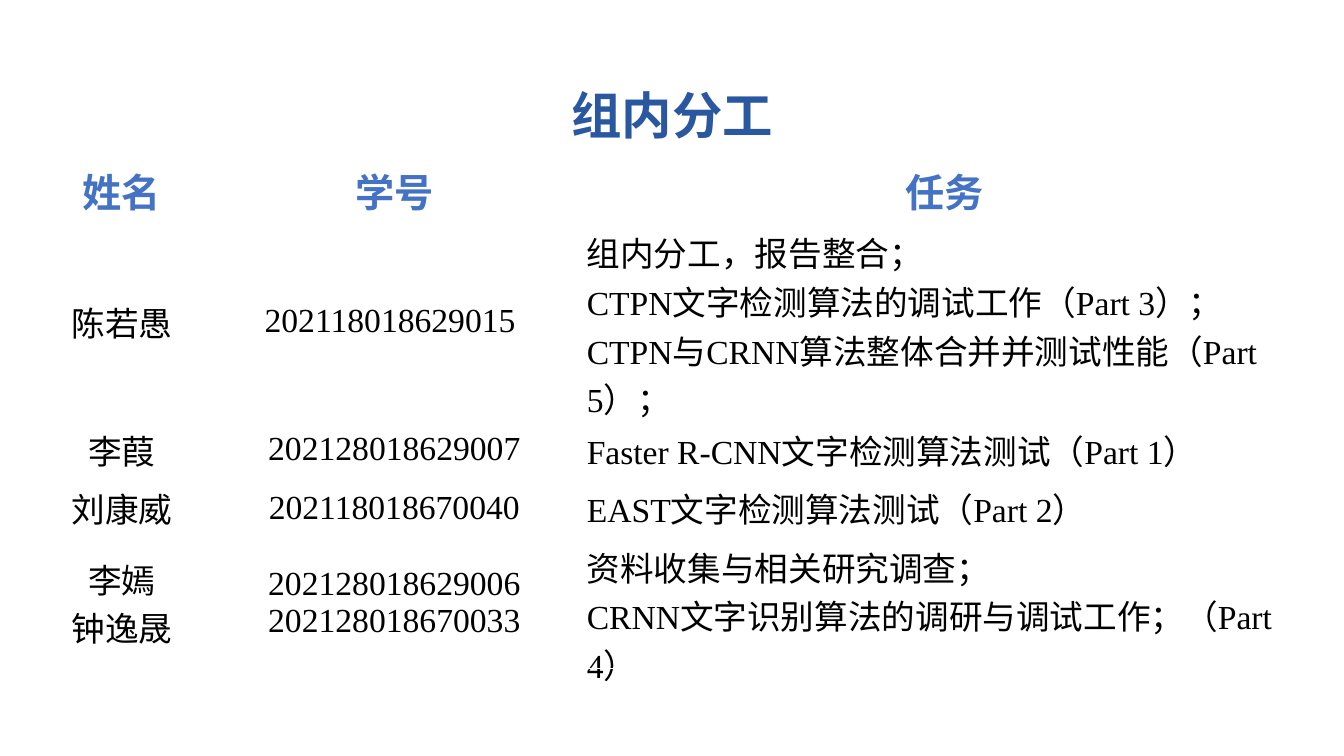
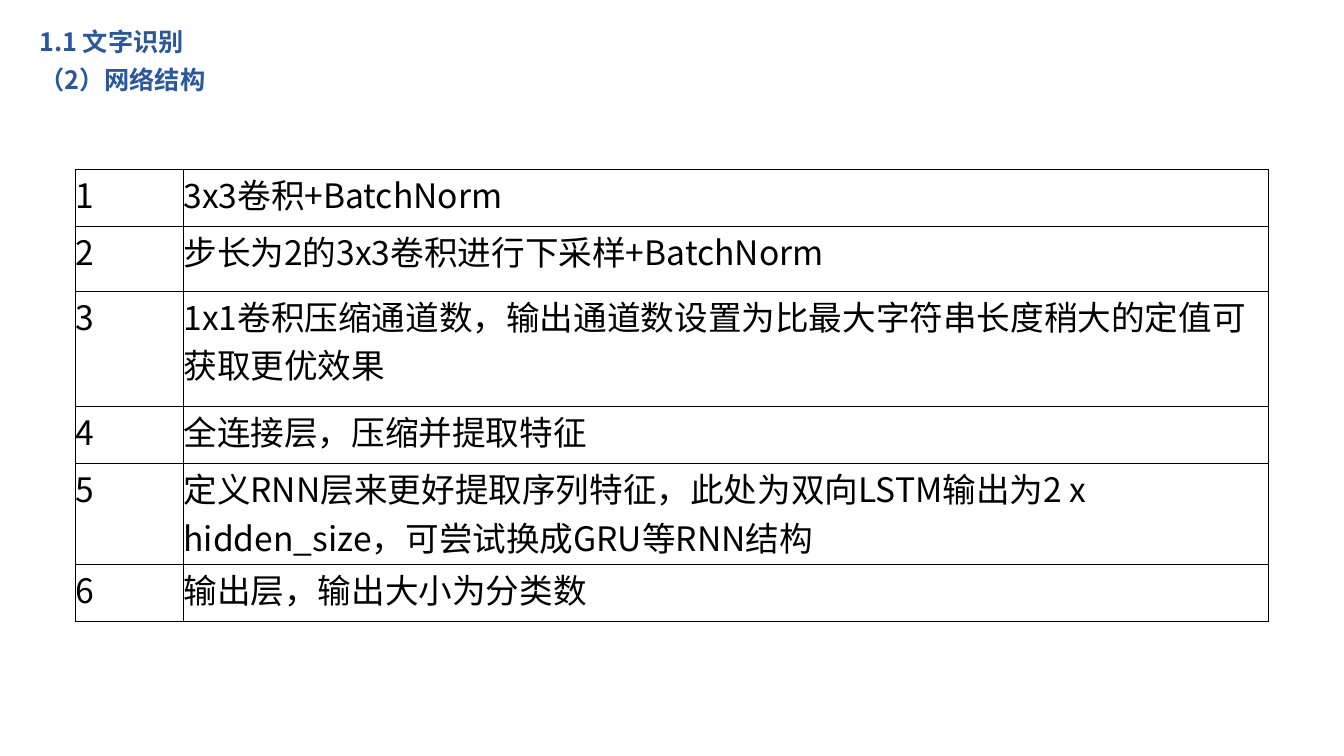
from dataclasses import dataclass

from lxml.etree import SubElement
from pptx import Presentation
from pptx.dml.color import RGBColor
from pptx.enum.text import MSO_ANCHOR, PP_ALIGN
from pptx.oxml.ns import qn
from pptx.slide import Slide
from pptx.table import _Cell
from pptx.text.text import TextFrame
from pptx.util import Inches, Pt

COLORS = {"title": "2958A0", "header": "4472C4", "text": "000000", "border": "080000"}
SANS = "Noto Sans CJK SC"
SERIF = "Times New Roman"


@dataclass(frozen=True)
class TextStyle:
    size: int
    color: str
    font: str = SANS
    bold: bool = False
    align: PP_ALIGN = PP_ALIGN.LEFT
    line_spacing: float = 1.0
    space_before: int = 0


@dataclass(frozen=True)
class TableCell:
    text: str
    style: TextStyle
    anchor: MSO_ANCHOR = MSO_ANCHOR.TOP


@dataclass(frozen=True)
class TableLayout:
    left: float
    top: float
    columns: tuple[float, ...]
    rows: tuple[float, ...]
    bordered: bool = False


HEADER = TextStyle(28, "header", SERIF, True, PP_ALIGN.CENTER)
MEMBER = TextStyle(24, "text", SERIF, align=PP_ALIGN.CENTER)
TASK = TextStyle(24, "text", SERIF)
LAYER = TextStyle(24, "text")
MAIN_TITLE = TextStyle(36, "title", bold=True, align=PP_ALIGN.CENTER, line_spacing=0.9)
SECTION_TITLE = TextStyle(18, "title", bold=True, line_spacing=0.8, space_before=10)

TEAM_LAYOUT = TableLayout(0.32, 1.56, (1.78, 3.62, 7.29), (0.65, 1.96, 0.58, 0.58, 1.04))
TEAM_HEADERS = ("姓名", "学号", "任务")
TEAM = (
    ("陈若愚", "202118018629015 ",
     "组内分工，报告整合；\nCTPN文字检测算法的调试工作（Part 3）；\n"
     "CTPN与CRNN算法整体合并并测试性能（Part 5）；"),
    ("李葭", "202128018629007", "Faster R-CNN文字检测算法测试（Part 1）"),
    ("刘康威", "202118018670040", "EAST文字检测算法测试（Part 2）"),
    ("李嫣\n钟逸晟", "202128018629006\n202128018670033",
     "资料收集与相关研究调查；\nCRNN文字识别算法的调研与调试工作；（Part 4）"),
)

LAYER_LAYOUT = TableLayout(0.75, 1.68, (1.07, 10.76), (0.57, 0.64, 1.14, 0.57, 1, 0.57), True)
LAYERS = (
    "3x3卷积+BatchNorm",
    "步长为2的3x3卷积进行下采样+BatchNorm",
    "1x1卷积压缩通道数，输出通道数设置为比最大字符串长度稍大的定值可获取更优效果",
    "全连接层，压缩并提取特征",
    "定义RNN层来更好提取序列特征，此处为双向LSTM输出为2 x hidden_size，可尝试换成GRU等RNN结构",
    "输出层，输出大小为分类数",
)


def write_text(frame: TextFrame, text: str, style: TextStyle) -> None:
    """Write each line of text as a styled paragraph."""
    for index, line in enumerate(text.split("\n")):
        paragraph = frame.add_paragraph() if index else frame.paragraphs[0]
        paragraph.alignment = style.align
        paragraph.line_spacing = style.line_spacing
        paragraph.space_before = Pt(style.space_before if index else 0)
        run = paragraph.add_run()
        run.text = line
        run.font.size = Pt(style.size)
        run.font.bold = style.bold
        run.font.name = style.font
        run.font.color.rgb = RGBColor.from_string(COLORS[style.color])
        SubElement(run.font._element, qn("a:ea"), typeface=SANS)


def add_title(slide: Slide, left: float, top: float, text: str, style: TextStyle) -> None:
    """Add a slide title in a vertically centred box."""
    shape = slide.shapes.add_textbox(Inches(left), Inches(top), Inches(5.95), Inches(0.77))
    shape.text_frame.word_wrap = True
    shape.text_frame.vertical_anchor = MSO_ANCHOR.MIDDLE
    write_text(shape.text_frame, text, style)


def add_borders(cell: _Cell) -> None:
    """Draw a thin line on all four sides of a cell."""
    properties = cell._tc.get_or_add_tcPr()
    for side in ("lnL", "lnR", "lnT", "lnB"):
        line = SubElement(properties, qn(f"a:{side}"), w=str(Pt(1)))
        fill = SubElement(line, qn("a:solidFill"))
        SubElement(fill, qn("a:srgbClr"), val=COLORS["border"])


def add_table(slide: Slide, layout: TableLayout, content: list[list[TableCell]]) -> None:
    """Add an unfilled table, with cell borders and no insets if bordered."""
    table = slide.shapes.add_table(
        len(layout.rows), len(layout.columns), Inches(layout.left), Inches(layout.top),
        Inches(sum(layout.columns)), Inches(sum(layout.rows)),
    ).table
    table.first_row = table.horz_banding = False
    for column, width in zip(table.columns, layout.columns):
        column.width = Inches(width)
    for row, height, items in zip(table.rows, layout.rows, content):
        row.height = Inches(height)
        for cell, item in zip(row.cells, items):
            if layout.bordered:
                cell.margin_left = cell.margin_right = Inches(0)
                cell.margin_top = cell.margin_bottom = Inches(0)
                add_borders(cell)
            cell.fill.background()
            cell.vertical_anchor = item.anchor
            write_text(cell.text_frame, item.text, item.style)


def add_team_slide(slide: Slide) -> None:
    """Build the slide on the division of work."""
    add_title(slide, 3.69, 0.79, "组内分工", MAIN_TITLE)
    content = [[TableCell(text, HEADER) for text in TEAM_HEADERS]]
    for name, number, task in TEAM:
        content.append([
            TableCell(name, MEMBER, MSO_ANCHOR.MIDDLE),
            TableCell(number, MEMBER, MSO_ANCHOR.MIDDLE),
            TableCell(task, TASK),
        ])
    add_table(slide, TEAM_LAYOUT, content)


def add_network_slide(slide: Slide) -> None:
    """Build the slide on the network structure."""
    add_title(slide, 0.29, 0.24, "1.1 文字识别\n（2）网络结构", SECTION_TITLE)
    content = [
        [TableCell(str(number), LAYER), TableCell(text, LAYER)]
        for number, text in enumerate(LAYERS, start=1)
    ]
    add_table(slide, LAYER_LAYOUT, content)


def main() -> None:
    """Build and save the presentation."""
    presentation = Presentation()
    presentation.slide_width = Inches(13.33)
    presentation.slide_height = Inches(7.5)
    blank = presentation.slide_layouts[6]
    for build in (add_team_slide, add_network_slide):
        build(presentation.slides.add_slide(blank))
    presentation.save("out.pptx")


if __name__ == "__main__":
    main()
